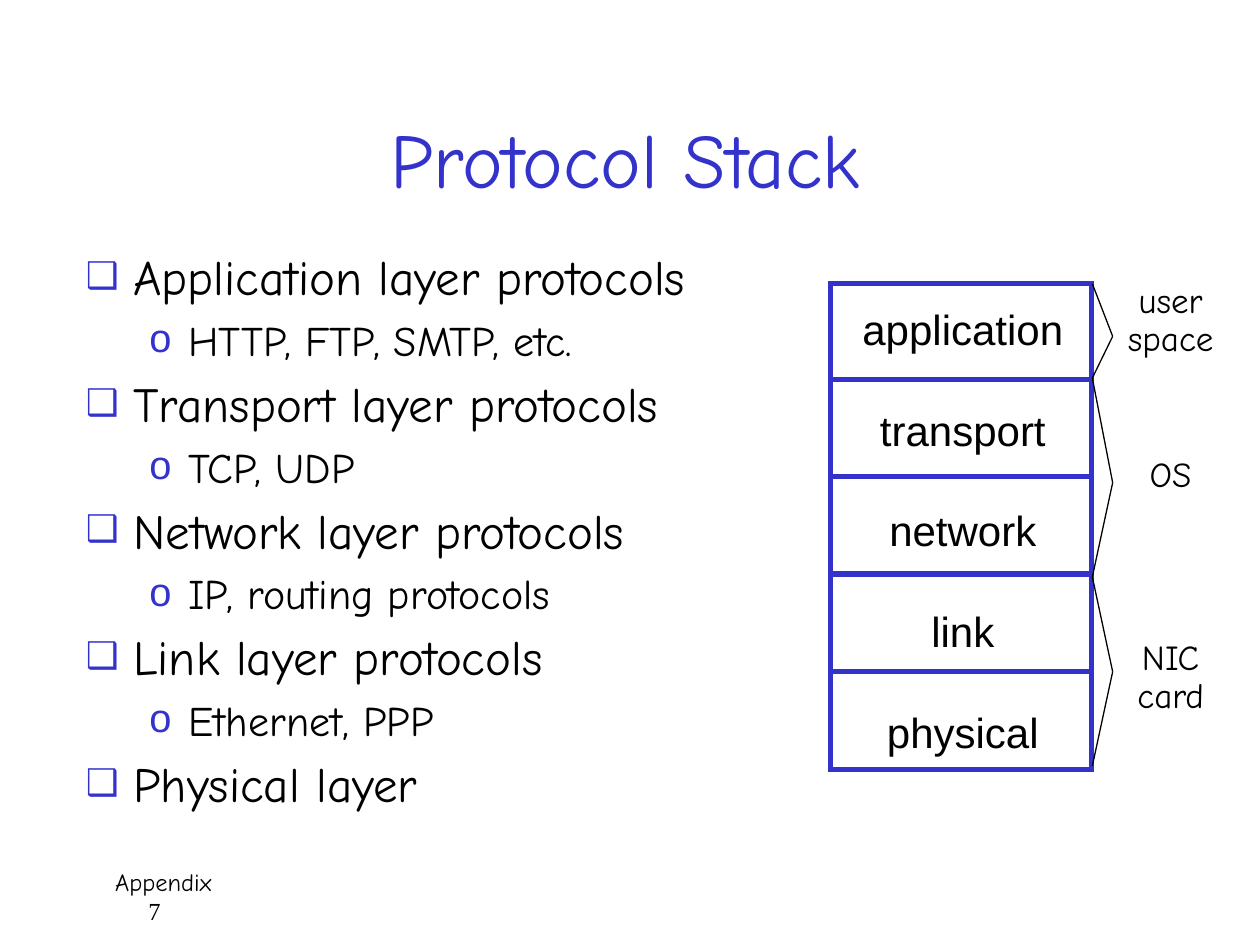
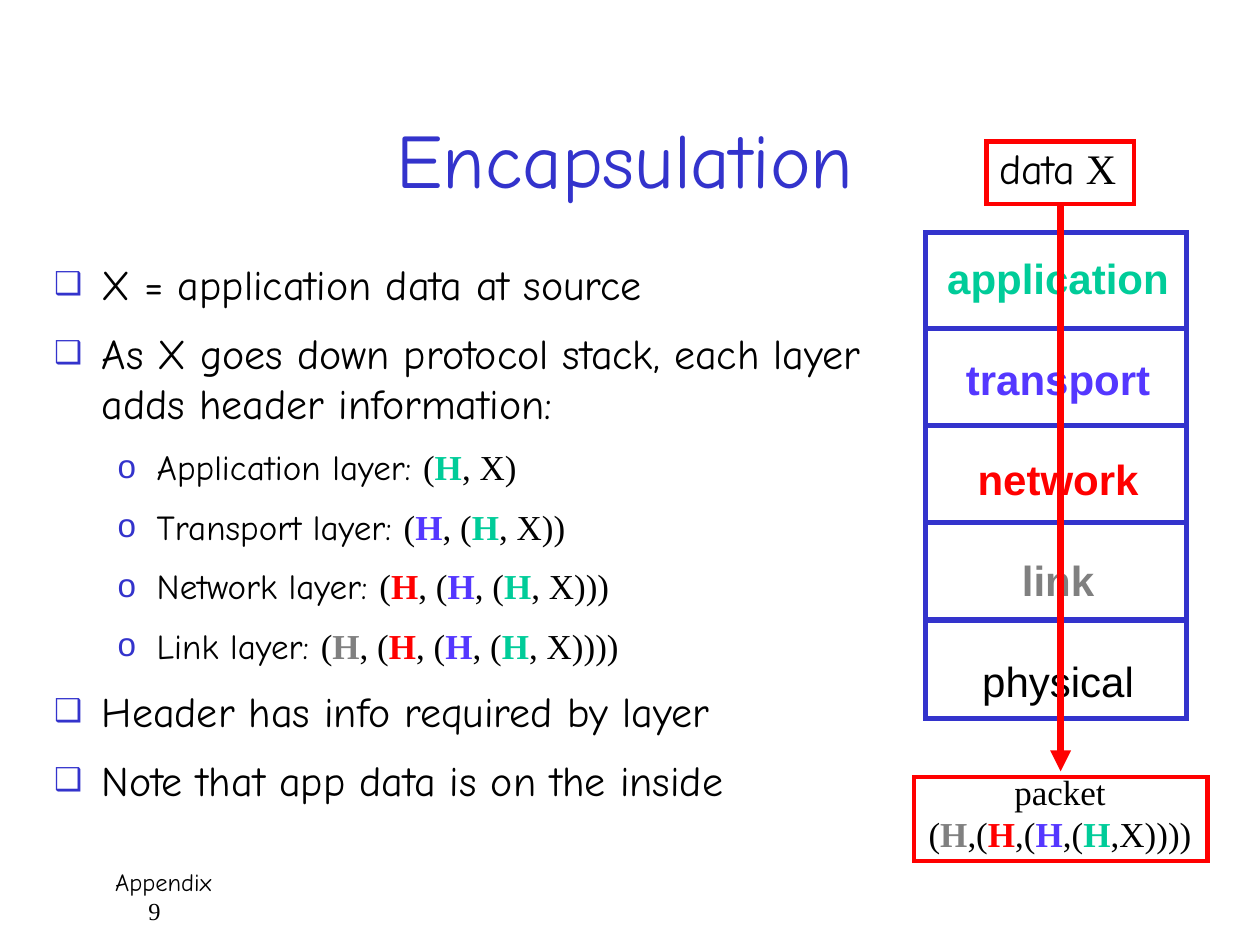
from dataclasses import dataclass
from itertools import pairwise

import lxml.etree
import pptx
import pptx.dml.color
import pptx.enum.shapes
import pptx.enum.text
import pptx.oxml.ns
import pptx.util

Cm = pptx.util.Cm
Pt = pptx.util.Pt
qn = pptx.oxml.ns.qn
CENTER = pptx.enum.text.PP_ALIGN.CENTER

# Shared look
COLORS = {
    "blue": "3333CC", "black": "000000", "white": "FFFFFF", "red": "FF0000",
    "green": "00CC99", "violet": "5437FF", "gray": "808080",
}
HAND, SERIF, SANS = "Comic Neue", "Times New Roman", "Arial"


@dataclass
class Box:
    left: float
    top: float
    width: float
    height: float

    def lengths(self) -> list:
        return [Cm(v) for v in (self.left, self.top, self.width, self.height)]


@dataclass
class Span:
    text: str
    font: str = HAND
    color: str = "black"
    bold: bool = False


@dataclass
class Line:
    spans: list[Span]
    size: float
    level: int | None = None  # bullet level, None for plain text
    indent: float = 0


@dataclass
class BulletStyle:
    char: str
    margin: float
    hanging: float
    percent: int


@dataclass
class Layer:
    name: str
    color: str


@dataclass
class Brace:
    top: float
    tip: float
    bottom: float
    label: list[str]
    label_box: Box


BULLETS = [BulletStyle("\u2751", 0.96, 0.96, 75), BulletStyle("o", 2.07, 0.79, 95)]
LAYERS = [
    Layer("application", "green"), Layer("transport", "violet"),
    Layer("network", "red"), Layer("link", "gray"), Layer("physical", "black"),
]
TITLE_BOX = Box(0.64, 1.49, 23.93, 3.38)
FOOTER_BOX = Box(1.9, 17.35, 21.8, 1.27)
STACK_WIDTH, STACK_HEIGHT = 5.26, 9.8


def rgb(name: str) -> pptx.dml.color.RGBColor:
    return pptx.dml.color.RGBColor.from_string(COLORS[name])


def add_bullet(paragraph, style: BulletStyle, size: float) -> None:
    paragraph.space_before, paragraph.space_after = Pt(size * 0.2), Pt(6)
    props = paragraph._p.get_or_add_pPr()
    props.set("marL", str(Cm(style.margin)))
    props.set("indent", str(-Cm(style.hanging)))
    color = lxml.etree.SubElement(props, qn("a:buClr"))
    lxml.etree.SubElement(color, qn("a:srgbClr"), val=COLORS["blue"])
    lxml.etree.SubElement(props, qn("a:buSzPct"), val=str(style.percent * 1000))
    lxml.etree.SubElement(props, qn("a:buFont"), typeface=SANS)
    lxml.etree.SubElement(props, qn("a:buChar"), char=style.char)


def add_text(shapes, box: Box, lines: list[Line], align=None, spacing=None,
             wrap: bool = True, gap: float = 0):
    """Text box; gap is the extra space in points above each line but the first."""
    frame = shapes.add_textbox(*box.lengths()).text_frame
    frame.word_wrap = wrap
    for number, line in enumerate(lines):
        paragraph = frame.add_paragraph() if number else frame.paragraphs[0]
        paragraph.alignment = align
        paragraph.line_spacing = spacing
        if number and gap:
            paragraph.space_before = Pt(gap)
        if line.level is not None:
            add_bullet(paragraph, BULLETS[line.level], line.size)
        elif line.indent:
            paragraph._p.get_or_add_pPr().set("marL", str(Cm(line.indent)))
        for span in line.spans:
            run = paragraph.add_run()
            run.text = span.text
            run.font.name = span.font
            run.font.size = Pt(line.size)
            run.font.bold = span.bold
            run.font.color.rgb = rgb(span.color)
    return frame


def add_rect(shapes, box: Box, line: str, weight: float, fill: str | None = None) -> None:
    rect = shapes.add_shape(pptx.enum.shapes.MSO_SHAPE.RECTANGLE, *box.lengths())
    rect.shadow.inherit = False
    if fill:
        rect.fill.solid()
        rect.fill.fore_color.rgb = rgb(fill)
    else:
        rect.fill.background()
    rect.line.color.rgb = rgb(line)
    rect.line.width = Pt(weight)
    # Square corners
    lxml.etree.SubElement(rect.line._get_or_add_ln(), qn("a:miter"), lim="800000")


def add_line(shapes, start: tuple[float, float], end: tuple[float, float],
             color: str, weight: float, arrow: bool = False) -> None:
    connector = shapes.add_connector(
        pptx.enum.shapes.MSO_CONNECTOR.STRAIGHT, *[Cm(v) for v in start + end])
    connector.line.color.rgb = rgb(color)
    connector.line.width = Pt(weight)
    if arrow:
        lxml.etree.SubElement(connector.line._get_or_add_ln(), qn("a:tailEnd"), type="triangle")
    lxml.etree.SubElement(connector._element.spPr, qn("a:effectLst"))


def add_stack(slide, left: float, top: float, colored: bool) -> None:
    """Five protocol layers with dividers at equal steps."""
    shapes = slide.shapes.add_group_shape().shapes
    add_rect(shapes, Box(left, top, STACK_WIDTH, STACK_HEIGHT), "blue", 3, "white")
    names = [
        Line([Span(layer.name, SANS, layer.color if colored else "black",
                   colored and layer.color != "black")], 24)
        for layer in LAYERS
    ]
    # Wider than the stack, so that the longest bold name stays on one line
    add_text(shapes, Box(left - 0.33, top + 0.27, 6, 9.37), names, CENTER,
             wrap=False, gap=28.8)
    step = STACK_HEIGHT / len(LAYERS)
    for number in range(1, len(LAYERS)):
        y = top + number * step - 0.03
        add_line(shapes, (left, y), (left + STACK_WIDTH, y), "blue", 3)


def add_brace(shapes, brace: Brace) -> None:
    edge, point = 22.02, 22.43
    corners = [(edge, brace.top), (point, brace.tip), (edge, brace.bottom)]
    for start, end in pairwise(corners):
        add_line(shapes, start, end, "black", 0.75)
    add_text(shapes, brace.label_box, [Line([Span(word)], 20) for word in brace.label],
             CENTER, spacing=0.9, wrap=False)


def nested_headers(depth: int, comma: str) -> list[Span]:
    """Data X wrapped in the headers of the first `depth` layers."""
    spans = [Span("(", SERIF)]
    for layer in reversed(LAYERS[:depth]):
        spans += [Span("H", SERIF, layer.color, True), Span(comma + "(", SERIF)]
    spans[-1].text = comma + "X" + ")" * depth
    return spans


def new_slide(deck, title: str, page: str):
    slide = deck.slides.add_slide(deck.slide_layouts[6])
    add_text(slide.shapes, FOOTER_BOX, [
        Line([Span("Appendix")], 14, indent=0.17),
        Line([Span(page, SERIF)], 14, indent=0.84),
    ])
    heading = add_text(slide.shapes, TITLE_BOX, [Line([Span(title, color="blue")], 44)], CENTER)
    heading.vertical_anchor = pptx.enum.text.MSO_ANCHOR.MIDDLE
    return slide


def protocol_stack_slide(deck) -> None:
    slide = new_slide(deck, "Protocol Stack", "7")
    topics = [
        ("Application layer protocols", "HTTP, FTP, SMTP, etc."),
        ("Transport layer protocols", "TCP, UDP"),
        ("Network layer protocols", "IP, routing protocols"),
        ("Link layer protocols", "Ethernet, PPP"),
        ("Physical layer", None),
    ]
    body = []
    for topic, examples in topics:
        body.append(Line([Span(topic)], 28, 0))
        if examples:
            body.append(Line([Span(examples)], 24, 1))
    add_text(slide.shapes, Box(1.48, 5.08, 13.97, 11.63), body, spacing=0.8)

    add_stack(slide, 16.74, 5.72, colored=False)

    # Where each layer lives
    for brace in (
        Brace(5.72, 6.78, 7.62, ["user", "space"], Box(22.43, 5.59, 2.34, 2.03)),
        Brace(7.62, 9.73, 11.63, ["OS"], Box(22.43, 9.09, 2.34, 1.14)),
        Brace(11.63, 13.54, 15.44, ["NIC", "card"], Box(22.43, 12.78, 2.34, 2.03)),
    ):
        add_brace(slide.shapes, brace)


def encapsulation_slide(deck) -> None:
    slide = new_slide(deck, "Encapsulation", "9")
    shapes = slide.shapes
    body = [
        Line([Span("X = application data at source")], 24, 0),
        Line([Span("As X goes down protocol stack, each layer adds header information:")], 24, 0),
    ]
    for depth, layer in enumerate(LAYERS[:4], start=1):
        label = Span(f"{layer.name.capitalize()} layer: ")
        body.append(Line([label] + nested_headers(depth, ", "), 20, 1))
    body += [
        Line([Span("Header has info required by layer")], 24, 0),
        Line([Span("Note that app data is on the inside")], 24, 0),
    ]
    add_text(shapes, Box(0.84, 5.08, 16.94, 11.86), body)

    add_stack(slide, 18.66, 4.69, colored=True)

    # Data travels down the stack and leaves as a packet
    add_text(shapes, Box(19.89, 2.74, 3.07, 1.45),
             [Line([Span("data"), Span(" X", SERIF)], 24)], wrap=False)
    add_line(shapes, (21.38, 4.11), (21.38, 15.55), "red", 4, arrow=True)
    add_text(shapes, Box(17.98, 15.4, 6.78, 1.96),
             [Line([Span("packet", SERIF)], 20), Line(nested_headers(4, ","), 20)], CENTER)
    for frame in (Box(19.89, 2.85, 2.97, 1.27), Box(18.42, 15.66, 5.92, 1.7)):
        add_rect(shapes, frame, "red", 2.5)


deck = pptx.Presentation()
deck.slide_width, deck.slide_height = Cm(25.4), Cm(19.05)
protocol_stack_slide(deck)
encapsulation_slide(deck)
deck.save("out.pptx")
